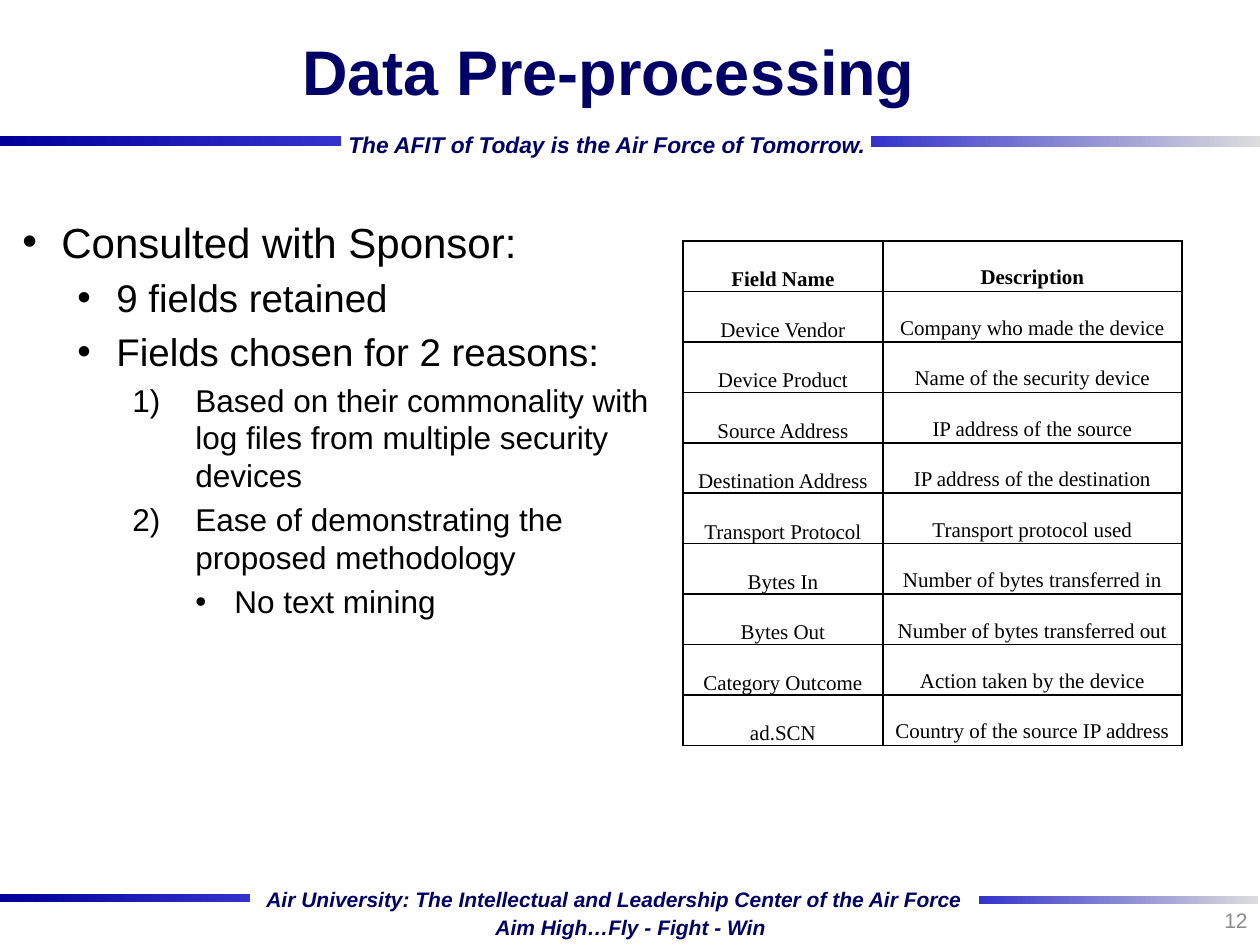
from dataclasses import dataclass

from lxml import etree
from pptx import Presentation
from pptx import util as u
from pptx.dml.color import RGBColor
from pptx.enum import shapes, text
from pptx.oxml import ns

PX_PER_INCH = 126


@dataclass(frozen=True)
class Theme:
    navy: str = "000066"
    deep_blue: str = "000099"
    blue: str = "3333CC"
    silver: str = "DDDDDD"
    black: str = "000000"
    white: str = "FFFFFF"
    gray: str = "8C8C8C"
    sans: str = "Arial"
    serif: str = "Times New Roman"
    title_size: int = 36
    motto_size: int = 13
    small_size: int = 12
    body_sizes: tuple = (24, 22, 18, 18)


THEME = Theme()


@dataclass(frozen=True)
class Box:
    left: int
    top: int
    width: int
    height: int


@dataclass(frozen=True)
class Bar:
    box: Box
    start: str
    end: str


@dataclass(frozen=True)
class Label:
    box: Box
    words: str
    size: int


@dataclass(frozen=True)
class Point:
    level: int
    words: str
    numbered: bool = False


BARS = [
    Bar(Box(0, 894, 250, 8), THEME.deep_blue, THEME.blue),
    Bar(Box(979, 896, 279, 8), THEME.blue, THEME.silver),
    Bar(Box(871, 136, 389, 11), THEME.blue, THEME.silver),
    Bar(Box(0, 136, 341, 10), THEME.deep_blue, THEME.blue),
]
LABELS = [
    Label(Box(254, 880, 726, 36),
          "Air University: The Intellectual and Leadership Center of the Air Force",
          THEME.small_size),
    Label(Box(483, 908, 297, 36), "Aim High…Fly - Fight - Win", THEME.small_size),
    Label(Box(336, 125, 548, 39),
          "The AFIT of Today is the Air Force of Tomorrow.", THEME.motto_size),
]
POINTS = [
    Point(0, "Consulted with Sponsor:"),
    Point(1, "9 fields retained"),
    Point(1, "Fields chosen for 2 reasons:"),
    Point(2, "Based on their commonality with log files from multiple security devices",
          True),
    Point(2, "Ease of demonstrating the proposed methodology", True),
    Point(3, "No text mining"),
]
# Left margin and hanging indent of each outline level
INDENTS = [(39, 39), (94, 39), (173, 63), (212, 39)]
FIELDS = [
    ("Field Name", "Description"),
    ("Device Vendor", "Company who made the device"),
    ("Device Product", "Name of the security device"),
    ("Source Address", "IP address of the source"),
    ("Destination Address", "IP address of the destination"),
    ("Transport Protocol", "Transport protocol used"),
    ("Bytes In", "Number of bytes transferred in"),
    ("Bytes Out", "Number of bytes transferred out"),
    ("Category Outcome", "Action taken by the device"),
    ("ad.SCN", "Country of the source IP address"),
]
COLUMN_WIDTHS = (200, 299)
ROW_HEIGHT = 46


def px(length: int) -> int:
    return u.Inches(length / PX_PER_INCH)


def place(box: Box) -> tuple:
    return px(box.left), px(box.top), px(box.width), px(box.height)


def write(paragraph, words: str, *, size: int, color: str = THEME.black,
          font: str = THEME.sans, bold: bool = False, italic: bool = False,
          align=text.PP_ALIGN.LEFT) -> None:
    paragraph.alignment = align
    run = paragraph.add_run()
    run.text = words
    run.font.name, run.font.size = font, u.Pt(size)
    run.font.bold, run.font.italic = bold, italic
    run.font.color.rgb = RGBColor.from_string(color)


def add_frame(slide, box: Box, *, wrap: bool = True, anchor=text.MSO_ANCHOR.TOP):
    frame = slide.shapes.add_textbox(*place(box)).text_frame
    frame.word_wrap = wrap
    frame.vertical_anchor = anchor
    return frame


def add_bar(slide, bar: Bar) -> None:
    shape = slide.shapes.add_shape(shapes.MSO_SHAPE.RECTANGLE, *place(bar.box))
    shape.shadow.inherit = False
    shape.line.fill.background()
    shape.fill.gradient()
    shape.fill.gradient_angle = 0
    for stop, position, color in zip(shape.fill.gradient_stops, (0, 1),
                                     (bar.start, bar.end)):
        stop.position = position
        stop.color.rgb = RGBColor.from_string(color)


def add_point(paragraph, point: Point, first: bool) -> None:
    margin, hanging = INDENTS[point.level]
    size = THEME.body_sizes[point.level]
    paragraph.level = point.level
    properties = paragraph._p.get_or_add_pPr()
    properties.set("marL", str(px(margin)))
    properties.set("indent", str(-px(hanging)))
    if point.numbered:
        etree.SubElement(properties, ns.qn("a:buAutoNum"), type="arabicParenR")
    else:
        etree.SubElement(properties, ns.qn("a:buFont"), typeface=THEME.sans)
        etree.SubElement(properties, ns.qn("a:buChar"), char="•")
    if not first:
        paragraph.space_before = u.Pt(round(size * 0.2, 1))
    write(paragraph, point.words, size=size)


def add_borders(cell) -> None:
    properties = cell._tc.get_or_add_tcPr()
    for index, side in enumerate(("lnL", "lnR", "lnT", "lnB")):
        line = etree.Element(ns.qn(f"a:{side}"), w=str(u.Pt(1)))
        fill = etree.SubElement(line, ns.qn("a:solidFill"))
        etree.SubElement(fill, ns.qn("a:srgbClr"), val=THEME.black)
        properties.insert(index, line)


def add_field_table(slide, left: int, top: int) -> None:
    box = Box(left, top, sum(COLUMN_WIDTHS), ROW_HEIGHT * len(FIELDS))
    table = slide.shapes.add_table(len(FIELDS), len(COLUMN_WIDTHS), *place(box)).table
    table.first_row = table.horz_banding = False
    for column, width in zip(table.columns, COLUMN_WIDTHS):
        column.width = px(width)
    anchors = (text.MSO_ANCHOR.BOTTOM, text.MSO_ANCHOR.MIDDLE)
    for row, record in enumerate(FIELDS):
        for column, words in enumerate(record):
            cell = table.cell(row, column)
            cell.margin_left = cell.margin_right = px(9)
            cell.margin_top = cell.margin_bottom = 0
            cell.vertical_anchor = anchors[column]
            cell.fill.solid()
            cell.fill.fore_color.rgb = RGBColor.from_string(THEME.white)
            add_borders(cell)
            paragraph = cell.text_frame.paragraphs[0]
            paragraph.line_spacing = 2.0
            write(paragraph, words, size=THEME.small_size, font=THEME.serif,
                  bold=row == 0, align=text.PP_ALIGN.CENTER)


def main() -> None:
    presentation = Presentation()
    presentation.slide_width, presentation.slide_height = px(1260), px(945)
    slide = presentation.slides.add_slide(presentation.slide_layouts[6])

    # Header and footer bands
    for bar in BARS:
        add_bar(slide, bar)
    for label in LABELS:
        frame = add_frame(slide, label.box, wrap=False)
        write(frame.paragraphs[0], label.words, size=label.size, color=THEME.navy,
              bold=True, italic=True)

    # Title
    title = add_frame(slide, Box(73, 0, 1071, 141), anchor=text.MSO_ANCHOR.MIDDLE)
    write(title.paragraphs[0], "Data Pre-processing", size=THEME.title_size,
          color=THEME.navy, bold=True, align=text.PP_ALIGN.CENTER)

    # Outline
    body = add_frame(slide, Box(10, 210, 672, 599))
    for index, point in enumerate(POINTS):
        paragraph = body.add_paragraph() if index else body.paragraphs[0]
        add_point(paragraph, point, first=index == 0)

    # Slide number
    number = add_frame(slide, Box(966, 895, 294, 50), anchor=text.MSO_ANCHOR.MIDDLE)
    write(number.paragraphs[0], "12", size=THEME.small_size, color=THEME.gray,
          align=text.PP_ALIGN.RIGHT)

    # Field table
    add_field_table(slide, 683, 241)

    presentation.save("out.pptx")


if __name__ == "__main__":
    main()
